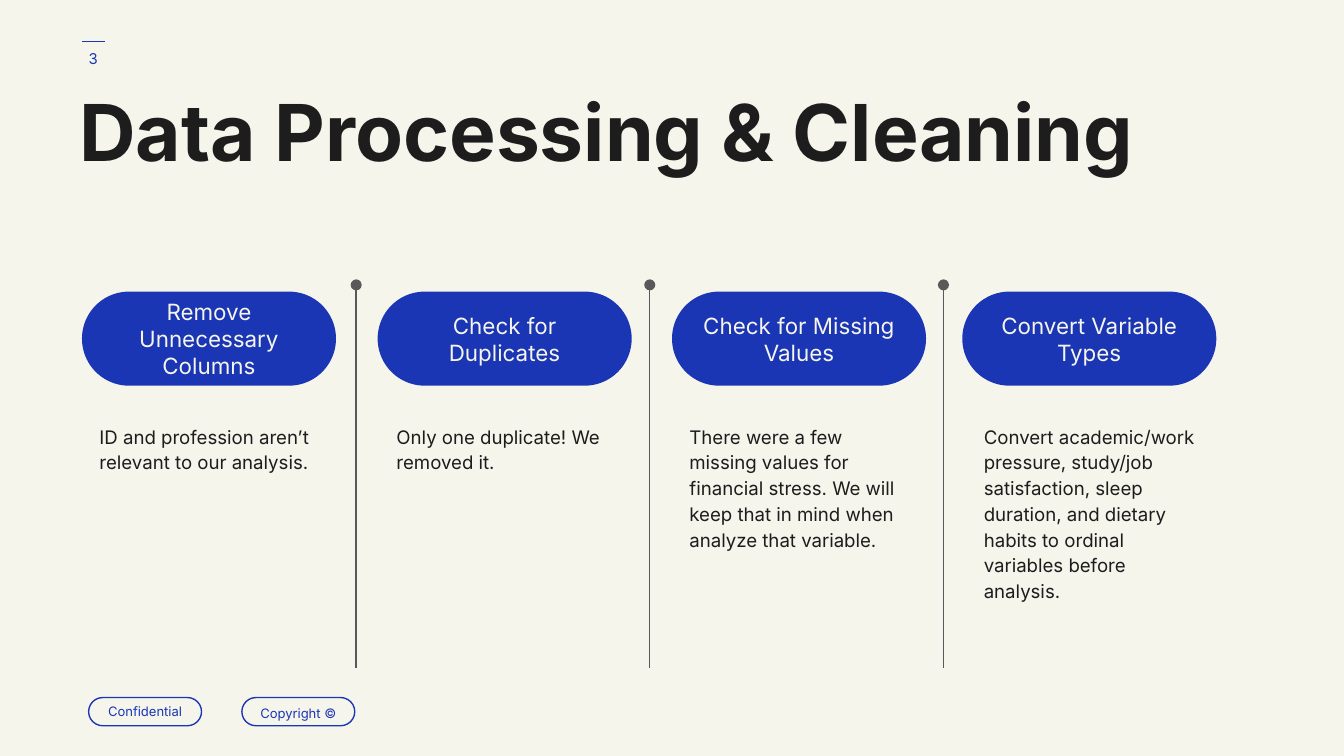
from lxml.etree import SubElement
from pptx import Presentation
from pptx.dml.color import RGBColor
from pptx.enum.shapes import MSO_CONNECTOR, MSO_SHAPE
from pptx.enum.text import MSO_ANCHOR, MSO_AUTO_SIZE, PP_ALIGN
from pptx.oxml.ns import qn
from pptx.util import Inches, Pt

BLUE = RGBColor(0x1A, 0x36, 0xB4)
CREAM = RGBColor(0xF6, 0xF5, 0xEC)
INK = RGBColor(0x1D, 0x1D, 0x1D)
GRAY = RGBColor(0x59, 0x59, 0x59)

WIDE = Inches(10)
HIGH = WIDE * 9 // 16
FIRST, LAST = 2.65, 7.02  # outer column rules
TOP, END = 2.12, 4.97

# Heading, its left edge, body text, its left edge
STEPS = [
    ("Remove Unnecessary Columns", 0.61,
     "ID and profession aren’t relevant to our analysis.", 0.64),
    ("Check for Duplicates", 2.81,
     "Only one duplicate! We removed it.", 2.85),
    ("Check for Missing Values", 5,
     "There were a few missing values for financial stress. We will keep "
     "that in mind when analyze that variable.", 5.03),
    ("Convert Variable Types", 7.16,
     "Convert academic/work pressure, study/job satisfaction, sleep duration, "
     "and dietary habits to ordinal variables before analysis.", 7.22),
]
TAGS = [("Confidential", 0.66, 1), ("Copyright ©", 1.8, 1.15)]


def assign(item, values):
    for name, value in values.items():
        setattr(item, name, value)


def place(shape, left, top, width, height):
    names = ("left", "top", "width", "height")
    sizes = map(Inches, (left, top, width, height))
    assign(shape, dict(zip(names, sizes)))


def write(shape, text, size, color, align=PP_ALIGN.CENTER,
          anchor=MSO_ANCHOR.MIDDLE, space=1, bold=False):
    frame = shape.text_frame
    sides = ("left", "top", "right", "bottom")
    assign(frame, {f"margin_{side}": Inches(0.1) for side in sides})
    assign(frame, {"word_wrap": True, "auto_size": MSO_AUTO_SIZE.NONE,
                   "vertical_anchor": anchor})
    para = frame.paragraphs[0]
    props = para._p.get_or_add_pPr()
    assign(para, {"alignment": align, "line_spacing": space})
    if shape.is_placeholder:
        props.set("marL", "0")
        props.set("indent", "0")
        SubElement(props, qn("a:buNone"))
        para.space_before = Pt(0)
    run = para.add_run()
    run.text = text
    assign(run.font, {"name": "Inter", "size": Pt(size), "bold": bold})
    run.font.color.rgb = color


def add_pill(slide, box, text, size, color, fill=None, space=1):
    pill = slide.shapes.add_shape(MSO_SHAPE.ROUNDED_RECTANGLE,
                                  *map(Inches, box))
    pill.adjustments[0] = 0.5
    pill.shadow.inherit = False
    if fill is None:
        pill.fill.background()
        pill.line.color.rgb = color
        pill.line.width = Pt(0.75)
    else:
        pill.fill.solid()
        pill.fill.fore_color.rgb = fill
        pill.line.fill.background()
    write(pill, text, size, color, space=space)


def add_rule(slide, start, end, color, dot=False):
    rule = slide.shapes.add_connector(MSO_CONNECTOR.STRAIGHT,
                                      *map(Inches, start + end))
    rule.line.color.rgb = color
    rule.line.width = Pt(0.75)
    if dot:
        SubElement(rule.line._get_or_add_ln(), qn("a:headEnd"), type="oval")
    SubElement(rule._element.spPr, qn("a:effectLst"))


def add_number(slide, text):
    box = slide.shapes.add_textbox(0, 0, 0, 0)
    place(box, 0.46, 0.22, 0.47, 0.43)
    write(box, text, 8, BLUE)


def main():
    deck = Presentation()
    assign(deck, {"slide_width": WIDE, "slide_height": HIGH})
    # The comparison layout has a title and four text bodies
    slide = deck.slides.add_slide(deck.slide_layouts[4])
    back = slide.background.fill
    back.solid()
    back.fore_color.rgb = CREAM

    title, *bodies = slide.placeholders
    place(title, 0.49, 0.65, 8.4, 1.14)
    write(title, "Data Processing & Cleaning", 42, INK, PP_ALIGN.LEFT,
          MSO_ANCHOR.TOP, 0.8, True)

    add_rule(slide, (0.78, 0.31), (0.61, 0.31), BLUE)
    add_number(slide, "3")
    for text, left, space in TAGS:
        add_pill(slide, (left, 5.19, 0.84, 0.21), text, 7, BLUE, space=space)

    for body, (head, edge, text, left) in zip(bodies, STEPS):
        place(body, left, 3.04, 1.79, 1.88)
        write(body, text, 10, INK, PP_ALIGN.LEFT, MSO_ANCHOR.TOP, 1.15)
        add_pill(slide, (edge, 2.17, 1.89, 0.7), head, 12, CREAM, BLUE)

    gaps = len(STEPS) - 2
    for col in range(gaps + 1):
        x = FIRST + col * (LAST - FIRST) / gaps
        add_rule(slide, (x, TOP), (x, END), GRAY, dot=True)
    deck.save("out.pptx")


if __name__ == "__main__":
    main()
